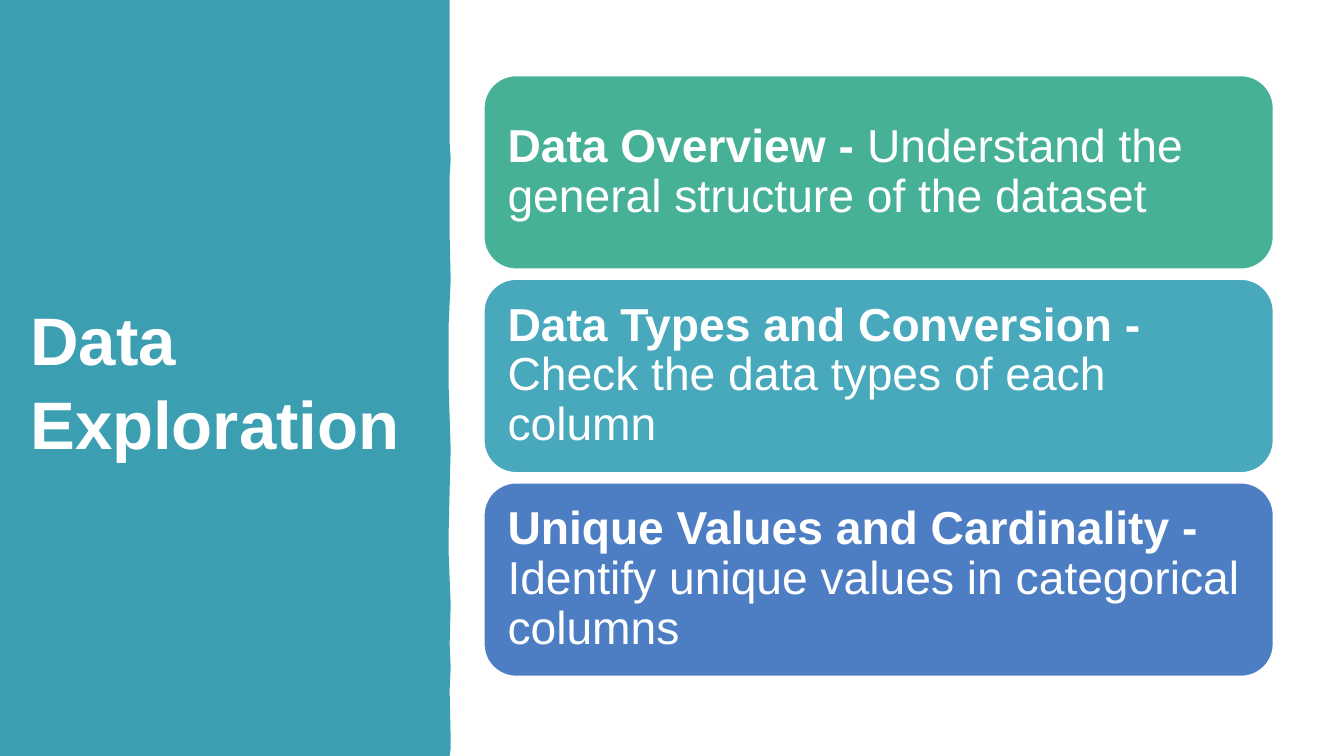
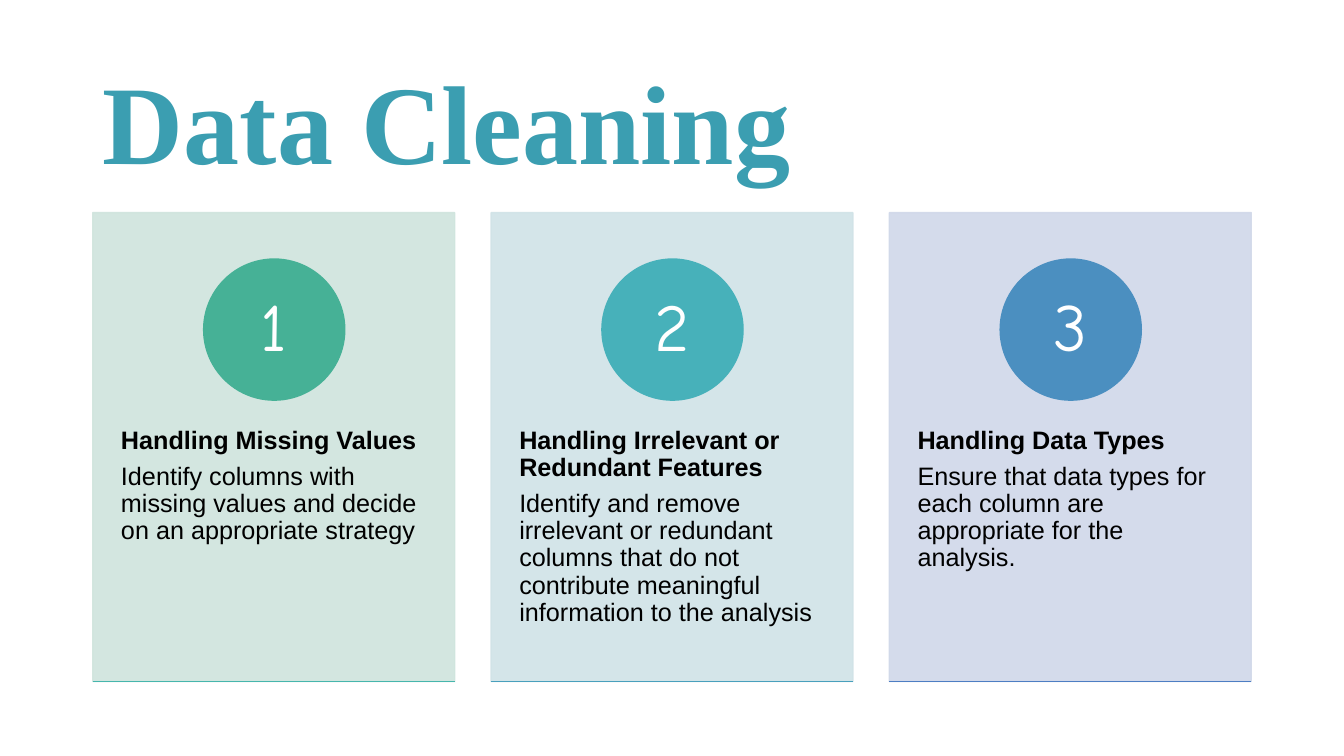
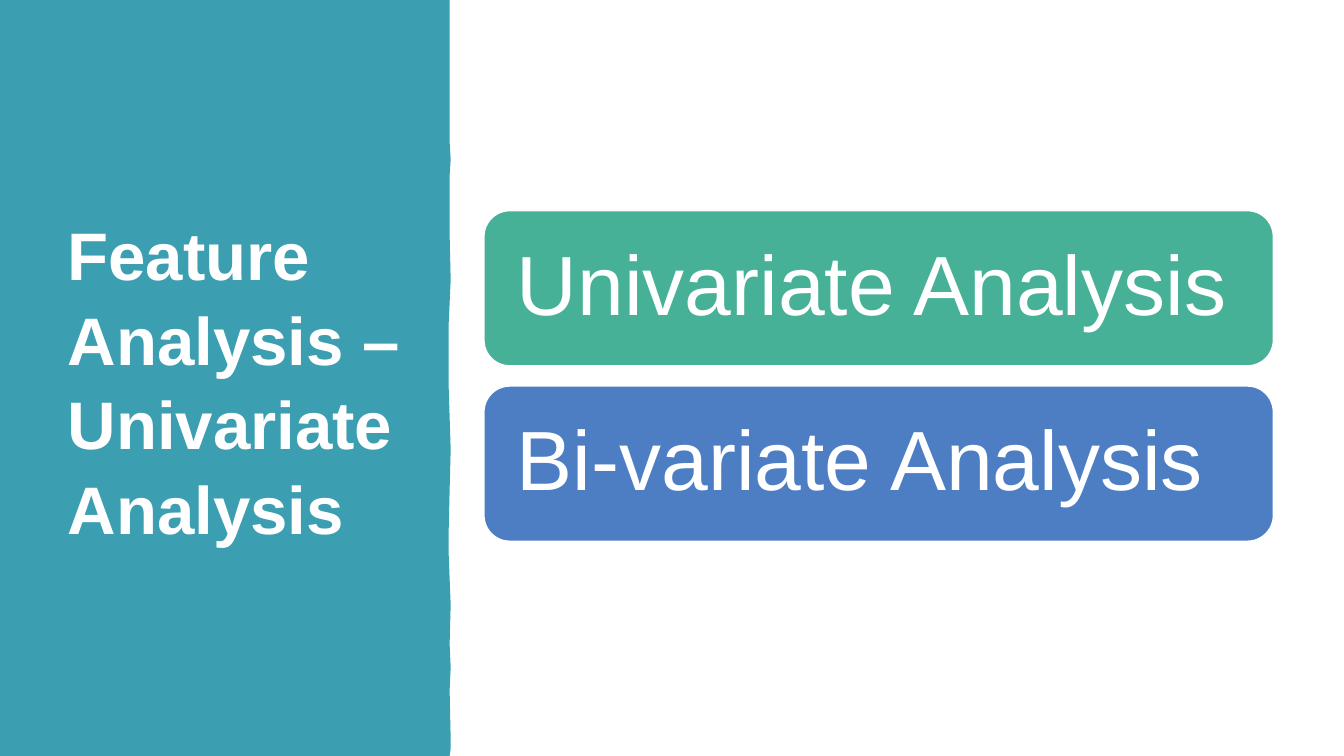
from lxml import etree
from pptx import Presentation
from pptx import util as u
from pptx.dml.color import RGBColor
from pptx.enum import shapes, text
from pptx.oxml.ns import qn

PX = 9144  # EMU in one px, at 100 px to the inch
WIDTH, HEIGHT = 1333, 750
COLORS = {
    "white": "FFFFFF", "black": "000000", "band": "3B9EB1",
    "green": "46B196", "teal": "48A9BC", "blue": "4D7EC3",
    "turquoise": "47B1BA", "azure": "4B8FC0",
    "pale_green": "CFE4DD", "pale_teal": "D0E3E7", "pale_blue": "D0D8E9",
    "rule_green": "46B6AD", "rule_teal": "49A0BD",
}
BAND_EDGE = [(446, 0), (446, 63), (446, 102), (446, 141), (447, 158), (446, 174),
             (446, 233), (447, 278), (445, 322), (445, 383), (447, 446), (446, 486),
             (445, 528), (445, 549), (447, 600), (446, 639), (447, 662), (446, 685),
             (447, 733), (447, 743), (446, 750)]


def rgb(name):
    return RGBColor.from_string(COLORS[name])


def px(*lengths):
    return [u.Emu(n * PX) for n in lengths]


def style(p, size, color, font="Arial", bold=None):
    p.font.size, p.font.name, p.font.bold = u.Pt(size), font, bold
    p.font.color.rgb = rgb(color)


def set_frame(tf, anchor, insets):
    tf.word_wrap = True
    tf.vertical_anchor = anchor
    tf.margin_left, tf.margin_top, tf.margin_right, tf.margin_bottom = px(*insets)


def add_title_slide(prs, title, box, color="white", font="Arial", size=48, spacing=1.05):
    s = prs.slides.add_slide(prs.slide_layouts[5])
    sp = s.shapes.title
    sp.left, sp.top, sp.width, sp.height = px(*box)
    tf = sp.text_frame
    tf.text = title
    tf.auto_size = text.MSO_AUTO_SIZE.NONE
    set_frame(tf, text.MSO_ANCHOR.MIDDLE, (10, 5, 10, 5))
    p = tf.paragraphs[0]
    p.alignment, p.line_spacing = text.PP_ALIGN.LEFT, spacing
    style(p, size, color, font, True)
    return s


def add_band(s):
    """Draw the wavy side band behind the title."""
    builder = s.shapes.build_freeform(0, 0, scale=PX)
    builder.add_line_segments(BAND_EDGE + [(0, HEIGHT)], close=True)
    band = builder.convert_to_shape()
    band.shadow.inherit = False
    band.fill.solid()
    band.fill.fore_color.rgb = rgb("band")
    band.line.fill.background()
    s.shapes.title.element.addprevious(band.element)


def add_box(s, kind, box, fill, line=None):
    sp = s.shapes.add_shape(kind, *px(*box))
    sp.shadow.inherit = False
    sp.fill.solid()
    sp.fill.fore_color.rgb = rgb(fill)
    sp.line.color.rgb = rgb(line or fill)
    sp.line.width = u.Pt(1)
    return sp


def set_opacity(sp, percent):
    for color in sp.element.spPr.iter(qn("a:srgbClr")):
        etree.SubElement(color, qn("a:alpha"), val=str(percent * 1000))


def add_rule(s, left, top, width, color):
    line = s.shapes.add_connector(shapes.MSO_CONNECTOR.STRAIGHT,
                                  *px(left, top, left + width, top))
    line.line.color.rgb = rgb(color)
    line.line.width = u.Pt(1)
    etree.SubElement(line.element.spPr, qn("a:effectLst"))


def add_bars(s, bars, top, height, gap, inset, size):
    """Stack rounded bars of (bold lead, plain words, fill)."""
    for i, (lead, words, fill) in enumerate(bars):
        sp = add_box(s, shapes.MSO_SHAPE.ROUNDED_RECTANGLE,
                     (480, top + i * (height + gap), 783, height), fill, "white")
        set_frame(sp.text_frame, text.MSO_ANCHOR.MIDDLE, [inset] * 4)
        p = sp.text_frame.paragraphs[0]
        p.alignment, p.line_spacing = text.PP_ALIGN.LEFT, 0.9
        style(p, size, "white")
        if lead:
            r = p.add_run()
            r.text, r.font.bold = lead, True
        p.add_run().text = words


def add_step(s, left, number, heading, words, card_color, disc_color, rule_color):
    """Draw one card with its numbered disc and bottom rule."""
    top, width, height, disc_size = 211, 359, 465, 140
    card = add_box(s, shapes.MSO_SHAPE.RECTANGLE, (left, top, width, height), card_color)
    set_opacity(card, 90)
    tf = card.text_frame
    set_frame(tf, text.MSO_ANCHOR.TOP, (28, 213, 28, 36))
    for p, line, bold in ((tf.paragraphs[0], heading, True),
                          (tf.add_paragraph(), words, False)):
        p.text = line
        p.alignment, p.line_spacing = text.PP_ALIGN.LEFT, 0.9
        p.space_after = u.Pt(6.3)
        style(p, 18, "black", bold=bold)

    disc = add_box(s, shapes.MSO_SHAPE.OVAL,
                   (left + (width - disc_size) // 2 + 1, top + 46, disc_size, disc_size),
                   disc_color)
    set_frame(disc.text_frame, text.MSO_ANCHOR.MIDDLE, (11, 1, 11, 1))
    p = disc.text_frame.paragraphs[0]
    p.text = str(number)
    p.alignment, p.line_spacing = text.PP_ALIGN.CENTER, 0.9
    style(p, 48, "white", "Comic Neue")
    add_rule(s, left, top + height, width, rule_color)


def add_exploration(prs):
    s = add_title_slide(prs, "Data Exploration", (20, 70, 403, 611))
    add_band(s)
    add_bars(s, [
        ("Data Overview - ", "Understand the general structure of the dataset", "green"),
        ("Data Types and Conversion - ", "Check the data types of each column", "teal"),
        ("Unique Values and Cardinality - ",
         "Identify unique values in categorical columns", "blue"),
    ], top=75, height=192, gap=10, inset=14, size=33)


def add_cleaning(prs):
    s = add_title_slide(prs, "Data Cleaning", (92, 40, 1150, 145), "band",
                        "Times New Roman", 80, 1.1)
    steps = [
        ("Handling Missing Values",
         "Identify columns with missing values and decide on an appropriate strategy",
         "pale_green", "green", "rule_green"),
        ("Handling Irrelevant or Redundant Features",
         "Identify and remove irrelevant or redundant columns that do not contribute "
         "meaningful information to the analysis",
         "pale_teal", "turquoise", "rule_teal"),
        ("Handling Data Types",
         "Ensure that data types for each column are appropriate for the analysis.",
         "pale_blue", "azure", "blue"),
    ]
    for i, step in enumerate(steps):
        add_step(s, 92 + i * 395, i + 1, *step)


def add_feature_analysis(prs):
    s = add_title_slide(prs, "Feature Analysis – Univariate Analysis", (57, 70, 352, 611))
    add_band(s)
    add_bars(s, [("", "Univariate Analysis", "green"), ("", "Bi-variate Analysis", "blue")],
             top=209, height=154, gap=20, inset=25, size=60)


def main():
    prs = Presentation()
    prs.slide_width, prs.slide_height = px(WIDTH, HEIGHT)
    add_exploration(prs)
    add_cleaning(prs)
    add_feature_analysis(prs)
    prs.save("out.pptx")


if __name__ == "__main__":
    main()
